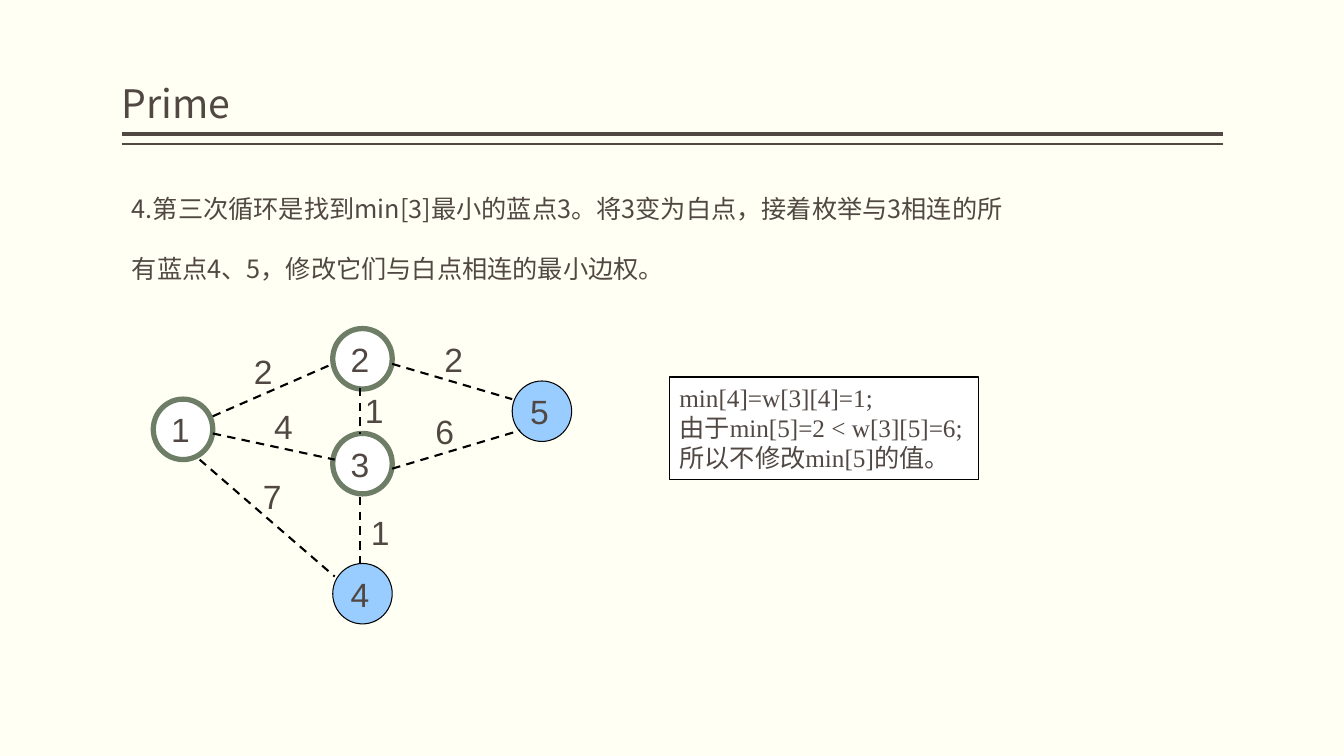
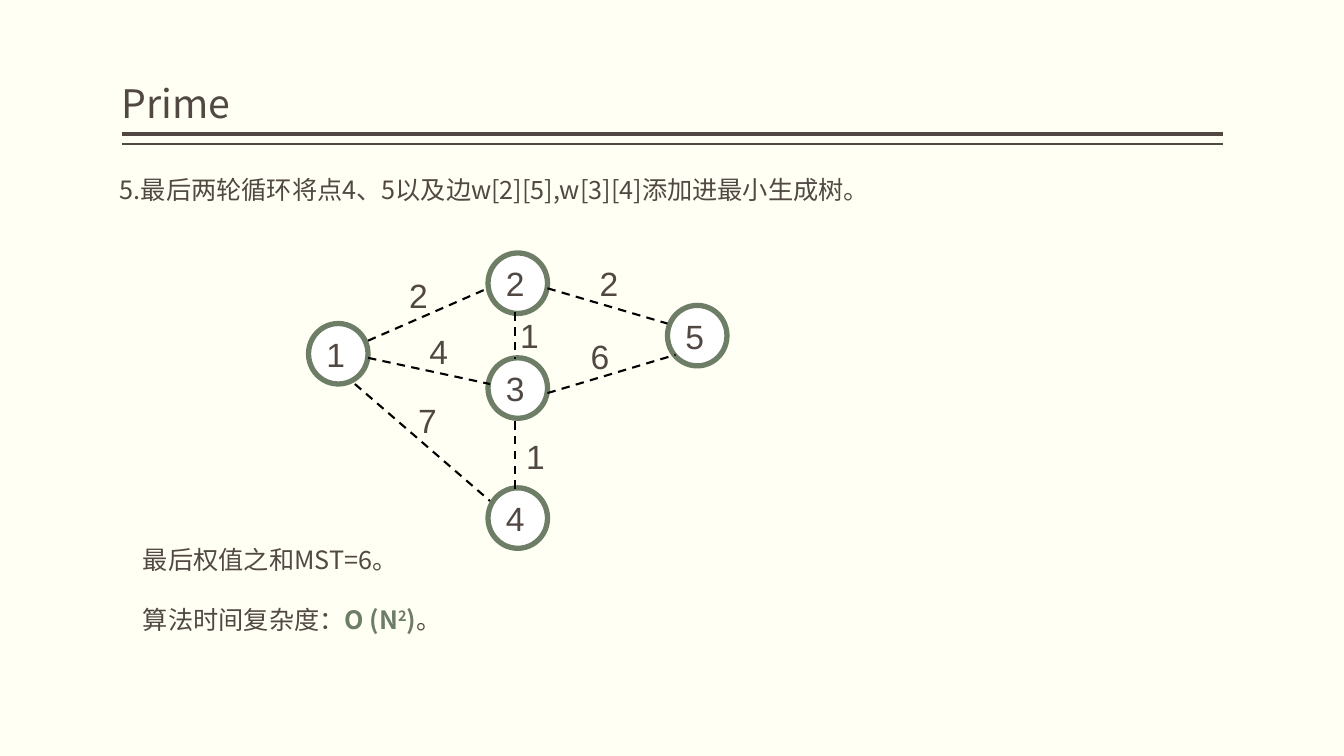
from pptx import Presentation
from pptx.dml.color import RGBColor
from pptx.enum.dml import MSO_LINE_DASH_STYLE as DASH
from pptx.enum.shapes import MSO_CONNECTOR, MSO_SHAPE
from pptx.enum.text import MSO_ANCHOR, PP_ALIGN
from pptx.oxml.ns import qn
from pptx.util import Inches, Pt
from lxml.etree import SubElement

CREAM = RGBColor(0xFF, 0xFF, 0xF3)
BROWN = RGBColor(0x51, 0x48, 0x43)
GREEN = RGBColor(0x6D, 0x7D, 0x66)
BLUE = RGBColor(0x99, 0xCC, 0xFF)
WHITE = RGBColor(0xFF, 0xFF, 0xFF)
BLACK = RGBColor(0x00, 0x00, 0x00)

SANS = "Noto Sans CJK SC"
SERIF = "Times New Roman"
DIGITS = "Arial"

NODE_W, NODE_H = 0.59, 0.6
NODES = {
    1: (0, 0.7),
    2: (1.78, 0),
    3: (1.78, 1.04),
    4: (1.78, 2.33),
    5: (3.56, 0.52),
}
EDGES = [
    ((0.59, 0.87), (1.78, 0.35), 2, (0.9, 0.17)),
    ((0.46, 1.3), (1.8, 2.46), 7, (0.99, 1.41)),
    ((0.59, 1.04), (1.8, 1.3), 4, (1.1, 0.72)),
    ((2.05, 0.59), (2.05, 1.05), 1, (2, 0.56)),
    ((2.05, 1.67), (2.05, 2.36), 1, (2.06, 1.77)),
    ((2.37, 1.39), (3.64, 1.01), 6, (2.7, 0.77)),
    ((2.37, 0.35), (3.56, 0.7), 2, (2.79, 0.05)),
]


def add_run(p, text, size=18, font=SANS, color=BROWN, bold=False, raised=False):
    r = p.add_run()
    r.text = text
    r.font.size = Pt(size)
    r.font.name = font
    r.font.color.rgb = color
    r.font.bold = bold
    rPr = r.font._element
    SubElement(rPr, qn("a:ea")).set("typeface", SANS)
    if raised:
        rPr.set("baseline", "30000")


def write(tf, lines, spacing=None, **style):
    tf.word_wrap = True
    for i, line in enumerate(lines):
        p = tf.paragraphs[0] if i == 0 else tf.add_paragraph()
        p.alignment = PP_ALIGN.LEFT
        p.line_spacing = spacing
        for text, extra in line if isinstance(line, list) else [(line, {})]:
            add_run(p, text, **{**style, **extra})


def add_text(shapes, lines, left, top, width, height, **style):
    sp = shapes.add_textbox(Inches(left), Inches(top), Inches(width), Inches(height))
    write(sp.text_frame, lines, **style)
    return sp


def add_box(shapes, kind, left, top, width, height, fill, line, weight):
    sp = shapes.add_shape(kind, Inches(left), Inches(top), Inches(width), Inches(height))
    sp.shadow.inherit = False
    sp.fill.solid()
    sp.fill.fore_color.rgb = fill
    sp.line.color.rgb = line
    sp.line.width = Pt(weight)
    return sp


def add_line(shapes, start, end, color, weight, dash=None):
    cx = shapes.add_connector(MSO_CONNECTOR.STRAIGHT, *map(Inches, start + end))
    cx.line.color.rgb = color
    cx.line.width = Pt(weight)
    if dash:
        cx.line.dash_style = dash
    SubElement(cx._element.spPr, qn("a:effectLst"))


def add_node(shapes, number, left, top, visited):
    fill, line, weight = (WHITE, GREEN, 3.78) if visited else (BLUE, BLACK, 0.75)
    sp = add_box(shapes, MSO_SHAPE.OVAL, left, top, NODE_W, NODE_H, fill, line, weight)
    tf = sp.text_frame
    tf.margin_left = tf.margin_top = tf.margin_bottom = 0
    tf.margin_right = Inches(0.05)
    tf.vertical_anchor = MSO_ANCHOR.MIDDLE
    write(tf, [str(number)], size=24, font=DIGITS)
    tf.paragraphs[0].alignment = PP_ALIGN.CENTER


def add_graph(s, left, top, visited):
    shapes = s.shapes.add_group_shape().shapes

    def place(point):
        return left + point[0], top + point[1]

    for number, corner in NODES.items():
        add_node(shapes, number, *place(corner), number in visited)
    for start, end, weight, label in EDGES:
        add_line(shapes, place(start), place(end), BLACK, 1.5, DASH.DASH)
        add_text(shapes, [str(weight)], *place(label), 0.4, 0.52, size=24, font=DIGITS)


def add_slide(prs, title):
    s = prs.slides.add_slide(prs.slide_layouts[6])
    for y, weight in ((1.33, 3), (1.43, 1)):
        add_line(s.shapes, (1.21, y), (12.13, y), BROWN, weight)
    tf = add_text(s.shapes, [title], 1.21, 0.11, 10.92, 1.2, size=28, spacing=0.9).text_frame
    tf.margin_left = tf.margin_right = 0
    tf.vertical_anchor = MSO_ANCHOR.BOTTOM
    return s


def add_body(s, lines, left, top, width, height):
    add_text(s.shapes, lines, left, top, width, height, spacing=Pt(43))


def add_note(s, lines, left, top, width, height):
    sp = add_box(s.shapes, MSO_SHAPE.RECTANGLE, left, top, width, height, WHITE, BLACK, 0.75)
    sp.text_frame.margin_right = 0
    sp.text_frame.vertical_anchor = MSO_ANCHOR.TOP
    write(sp.text_frame, lines, font=SERIF, spacing=Pt(21.5))


def third_round(prs):
    s = add_slide(prs, "Prime")
    add_body(s, ["4.第三次循环是找到min[3]最小的蓝点3。将3变为白点，接着枚举与3相连"
                 "的所有蓝点4、5，修改它们与白点相连的最小边权。"], 1.21, 1.57, 9.07, 1.3)
    add_note(s, ["min[4]=w[3][4]=1;", "由于min[5]=2 < w[3][5]=6;", "所以不修改min[5]的值。"],
             6.64, 3.74, 3.07, 1.02)
    add_graph(s, 1.52, 3.26, visited={1, 2, 3})


def last_rounds(prs):
    s = add_slide(prs, "Prime")
    add_body(s, ["5.最后两轮循环将点4、5以及边w[2][5],w[3][4]添加进最小生成树。"],
             1.09, 1.38, 9.3, 0.7)
    strong = {"color": GREEN, "bold": True}
    complexity = [("算法时间复杂度：", {}), ("O (N", strong),
                  ("2", {**strong, "raised": True}), (")", strong), ("。", {})]
    add_body(s, ["最后权值之和MST=6。", complexity], 1.32, 5.05, 6, 1.3)
    add_graph(s, 3.06, 2.51, visited=set(NODES))


def main():
    prs = Presentation()
    prs.slide_width, prs.slide_height = Inches(13.33), Inches(7.5)
    background = prs.slide_master.background.fill
    background.solid()
    background.fore_color.rgb = CREAM
    third_round(prs)
    last_rounds(prs)
    prs.save("out.pptx")


if __name__ == "__main__":
    main()
